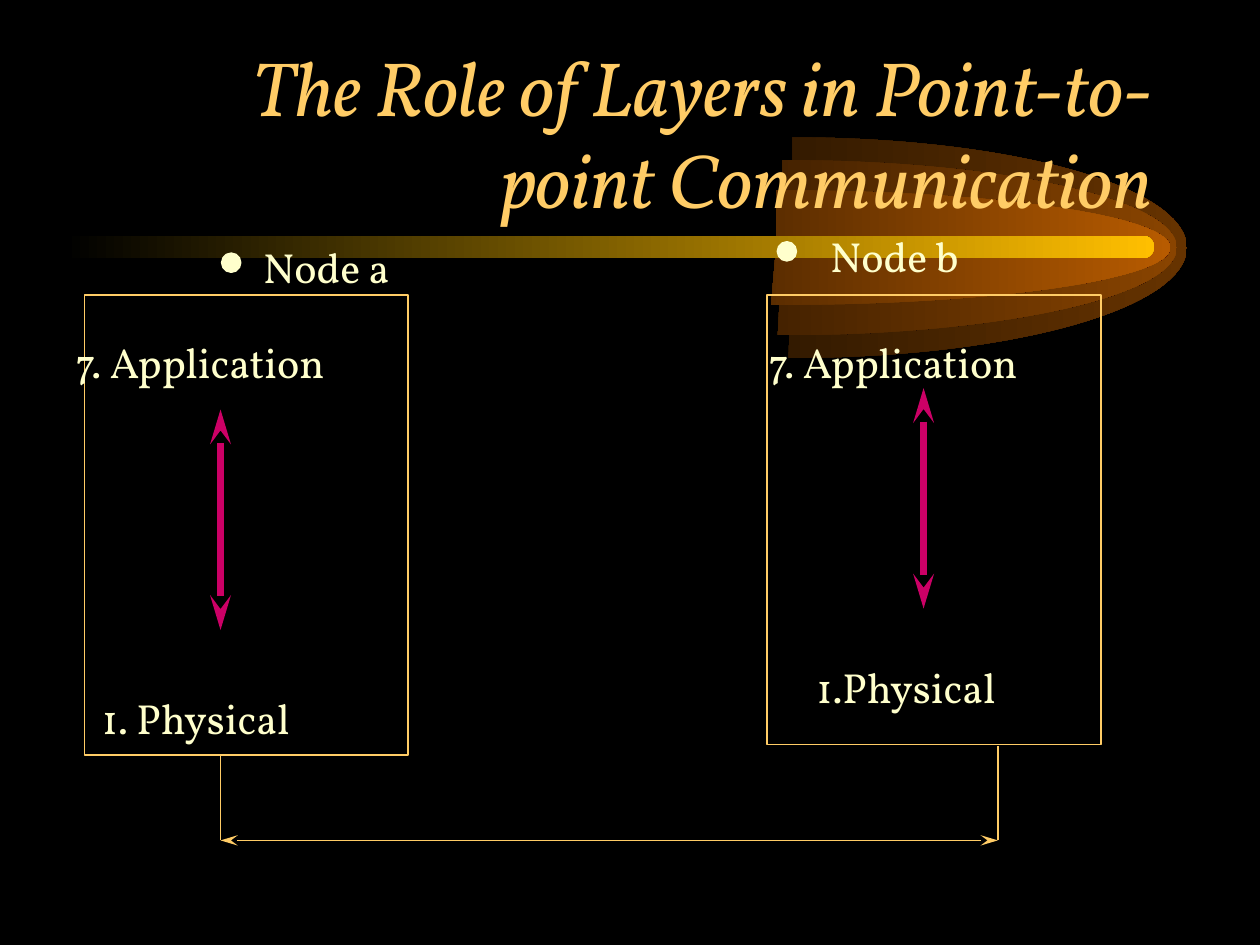
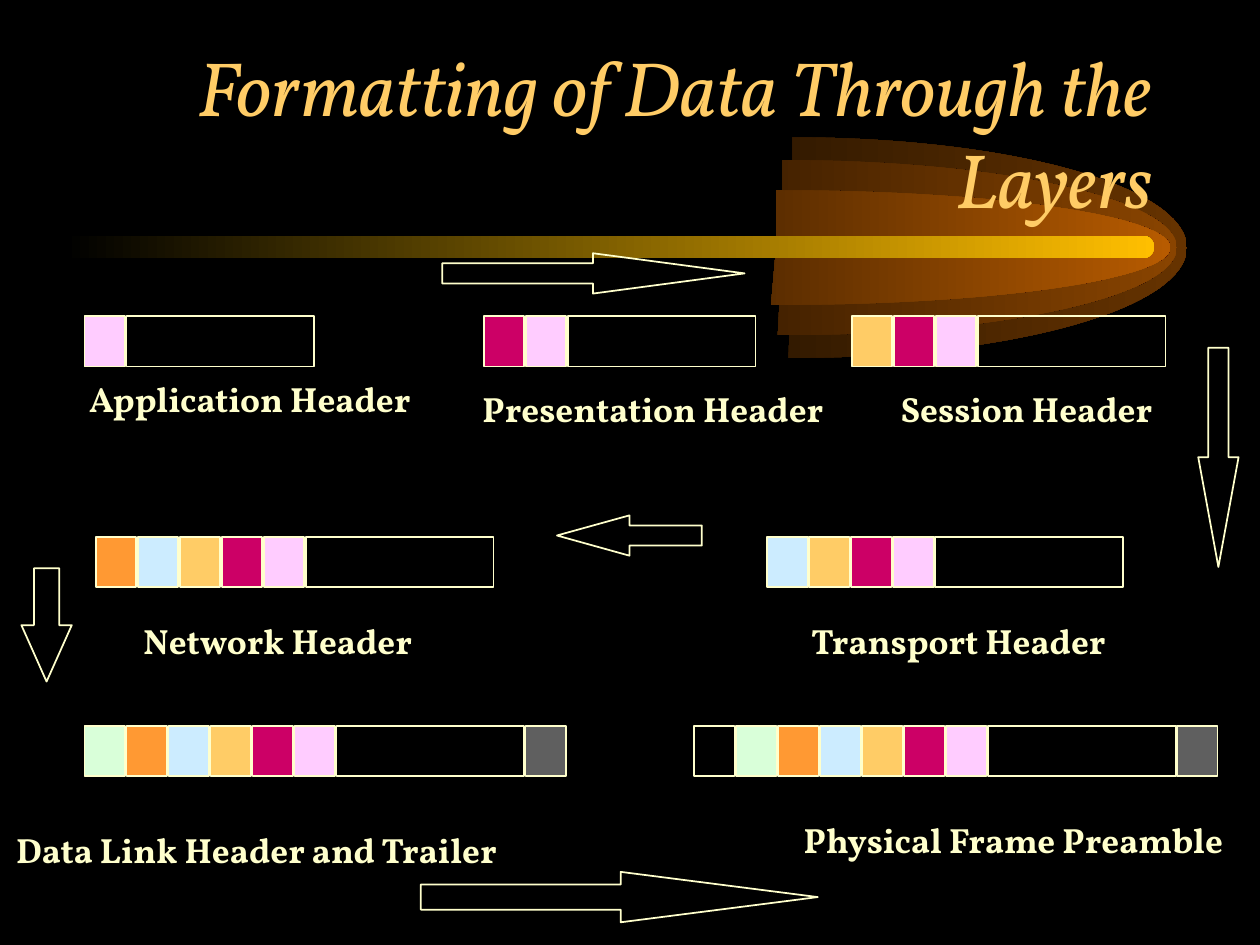
"""Build two slides on network layers."""
from dataclasses import dataclass

from pptx import Presentation
from pptx.dml.color import RGBColor
from pptx.enum.shapes import MSO_CONNECTOR, MSO_SHAPE
from pptx.enum.text import MSO_ANCHOR, MSO_AUTO_SIZE, PP_ALIGN
from pptx.oxml.ns import qn
from pptx.oxml.xmlchemy import OxmlElement
from pptx.util import Inches, Pt

ARC = MSO_SHAPE.ARC
RECTANGLE = MSO_SHAPE.RECTANGLE
ROUNDED = MSO_SHAPE.ROUNDED_RECTANGLE
OVAL = MSO_SHAPE.OVAL
RIGHT_ARROW = MSO_SHAPE.RIGHT_ARROW
LEFT_ARROW = MSO_SHAPE.LEFT_ARROW
DOWN_ARROW = MSO_SHAPE.DOWN_ARROW
STRAIGHT = MSO_CONNECTOR.STRAIGHT
MIDDLE = MSO_ANCHOR.MIDDLE
NO_RESIZE = MSO_AUTO_SIZE.NONE
GROW = MSO_AUTO_SIZE.SHAPE_TO_FIT_TEXT
RIGHT = PP_ALIGN.RIGHT


@dataclass(frozen=True)
class Theme:
    """Colours, typeface and type sizes of both slides."""

    font: str = "Vollkorn"
    title_size: int = 44
    node_size: int = 24
    header_size: int = 20
    background: str = "000000"
    gold: str = "FFCC66"
    cream: str = "FFFFCC"
    magenta: str = "CC0066"
    pink: str = "FFCCFF"
    sky: str = "CCECFF"
    orange: str = "FF9933"
    mint: str = "D9FFD9"
    gray: str = "5F5F5F"
    band: str = "FFBF00"
    glow_outer: str = "663300"
    glow_middle: str = "894400"
    glow_inner: str = "B75B00"


THEME = Theme()
GLOWS = [
    ((3.16, 1.09, 6.26, 1.75), 92, THEME.glow_outer),
    ((3.08, 1.27, 6.26, 1.39), 93, THEME.glow_middle),
    ((3.03, 1.51, 6.26, 0.91), 95, THEME.glow_inner),
]
BAND = (0.5, 1.87, 8.66, 0.18)
ADJUSTMENT_PER_DEGREE = 0.6

HEADER_COLORS = [None, THEME.mint, THEME.orange, THEME.sky,
                 THEME.gold, THEME.magenta, THEME.pink]
CELL_PITCH, CELL_WIDTH, CELL_HEIGHT = 1 / 3, 0.32, 0.4
PAYLOAD_PITCH, PAYLOAD_WIDTH = 1.5, 1.49
HEADERS_WITH_TRAILER = 6

FRAMES = [
    (0.67, 2.51, 1), (3.84, 2.51, 2), (6.76, 2.51, 3),
    (6.09, 4.26, 4), (0.76, 4.26, 5),
    (0.67, 5.76, 6), (5.51, 5.76, 7),
]
HEADER_LABELS = [
    ("Application Header", 0.61, 2.95, 2.96),
    ("Presentation Header", 3.73, 3.03, 3.12),
    ("Session Header", 7.05, 3.03, 2.36),
    ("Transport Header", 6.34, 4.87, 2.74),
    ("Network Header", 1.04, 4.87, 2.54),
    ("Data Link Header and Trailer", 0.03, 6.53, 4.36),
    ("Physical Frame Preamble", 6.28, 6.45, 3.8),
]
FLOW_ARROWS = [
    (RIGHT_ARROW, (3.51, 2.01, 2.4, 0.32), 3.76),
    (DOWN_ARROW, (9.51, 2.76, 0.32, 1.74), 2.72),
    (LEFT_ARROW, (4.42, 4.09, 1.15, 0.32), 1.8),
    (DOWN_ARROW, (0.17, 4.51, 0.4, 0.9), 1.12),
    (RIGHT_ARROW, (3.34, 6.92, 3.15, 0.4), 3.91),
]
NODE_BOXES = [(0.67, 2.34, 2.57, 3.65), (6.09, 2.34, 2.65, 3.57)]
NODE_BULLETS = [(1.76, 2.01), (6.17, 1.92)]
NODE_LABELS = [
    ("7. Application", 0.5, 2.62, 2.4),
    ("1. Physical", 0.71, 5.45, 1.87),
    ("7. Application", 6, 2.62, 2.4),
    ("1.Physical", 6.38, 5.2, 1.79),
    ("Node a", 1.99, 1.87, 1.31),
    ("Node b", 6.49, 1.78, 1.32),
]
LINKS = [
    ((1.75, 6), (1.75, 6.67), THEME.gold, 1, False),
    ((1.75, 6.67), (7.92, 6.67), THEME.gold, 1, True),
    ((7.92, 5.92), (7.92, 6.67), THEME.gold, 1, False),
    ((1.75, 3.25), (1.75, 5), THEME.magenta, 4, True),
    ((7.33, 3.08), (7.33, 4.83), THEME.magenta, 4, True),
]
ARROWHEAD = {"type": "stealth", "w": "med", "len": "lg"}


def rgb(color):
    """Turn a hex string into a colour."""
    return RGBColor.from_string(color)


def format_font(font, color, **values):
    """Apply the typeface, a colour and further font values."""
    for name, value in {"name": THEME.font, **values}.items():
        setattr(font, name, value)
    font.color.rgb = rgb(color)


def add_gradient_shape(slide, kind, box, color):
    """Add an unlined shape that fades in from the background colour."""
    shape = slide.shapes.add_shape(kind, *map(Inches, box))
    shape.shadow.inherit = False
    shape.line.fill.background()
    shape.fill.gradient()
    shape.fill.gradient_angle = 0
    for stop, stop_color in zip(shape.fill.gradient_stops,
                                (THEME.background, color)):
        stop.color.rgb = rgb(stop_color)
    return shape


def add_outline(slide, kind, box, line, fill=None):
    """Add a preset shape with a thin line and an optional fill."""
    shape = slide.shapes.add_shape(kind, *map(Inches, box))
    shape.shadow.inherit = False
    shape.line.color.rgb = rgb(line)
    shape.line.width = Pt(1)
    if fill:
        shape.fill.solid()
        shape.fill.fore_color.rgb = rgb(fill)
    else:
        shape.fill.background()
    return shape


def add_label(slide, text, left, top, width, size, bold=False):
    """Add a one-line text box."""
    height = 0.5 if size == THEME.node_size else 0.43
    shape = slide.shapes.add_textbox(*map(Inches, (left, top, width, height)))
    frame = shape.text_frame
    frame.word_wrap = False
    frame.auto_size = GROW
    paragraph = frame.paragraphs[0]
    paragraph.text = text
    format_font(paragraph.font, THEME.cream, size=Pt(size), bold=bold)


def add_link(slide, start, end, color, width, arrows):
    """Add a straight line, with arrowheads at both ends if wanted."""
    connector = slide.shapes.add_connector(STRAIGHT, *map(Inches, start + end))
    connector.line.color.rgb = rgb(color)
    connector.line.width = Pt(width)
    properties = connector.element.spPr
    if arrows:
        for tag in ("a:headEnd", "a:tailEnd"):
            arrowhead = OxmlElement(tag)
            for name, value in ARROWHEAD.items():
                arrowhead.set(name, value)
            properties.find(qn("a:ln")).append(arrowhead)
    properties.append(OxmlElement("a:effectLst"))


def add_glow(slide, box, end_degrees, color):
    """Add the right half of an ellipse, from the top down to an angle."""
    glow = add_gradient_shape(slide, ARC, box, color)
    glow.adjustments[1] = end_degrees * ADJUSTMENT_PER_DEGREE
    return glow


def add_band(slide):
    """Add the rounded gradient band below the title."""
    band = add_gradient_shape(slide, ROUNDED, BAND, THEME.band)
    band.adjustments[0] = 0.5
    return band


def decorate_layout(layout, slide):
    """Give the layout its background, glow and band."""
    layout.background.fill.solid()
    layout.background.fill.fore_color.rgb = rgb(THEME.background)
    for placeholder in list(layout.placeholders):
        if placeholder.placeholder_format.idx:
            layout.shapes.element.remove(placeholder.element)
    decorations = [add_glow(slide, *glow) for glow in GLOWS] + [add_band(slide)]
    for shape in decorations:
        layout.shapes.element.append(shape.element)


def add_title(slide, text):
    """Place and format the slide title."""
    title = slide.shapes.title
    box = {"left": 0.75, "top": 0.42, "width": 8.5, "height": 1.25}
    for name, value in box.items():
        setattr(title, name, Inches(value))
    frame = title.text_frame
    frame.text = text
    frame_format = {"word_wrap": True, "auto_size": NO_RESIZE,
                    "vertical_anchor": MIDDLE}
    for name, value in frame_format.items():
        setattr(frame, name, value)
    paragraph = frame.paragraphs[0]
    paragraph.alignment = RIGHT
    format_font(paragraph.font, THEME.gold, size=Pt(THEME.title_size), italic=True)


def add_frame(slide, left, top, header_count):
    """Add a data frame: headers, payload and, low in the stack, a trailer."""
    cells = [(CELL_PITCH, CELL_WIDTH, color)
             for color in HEADER_COLORS[-header_count:]]
    cells.append((PAYLOAD_PITCH, PAYLOAD_WIDTH, None))
    if header_count >= HEADERS_WITH_TRAILER:
        cells.append((CELL_PITCH, CELL_WIDTH, THEME.gray))
    for pitch, width, color in cells:
        add_outline(slide, RECTANGLE, (left, top, width, CELL_HEIGHT),
                    THEME.cream, color)
        left += pitch


def build_nodes(slide):
    """Draw two nodes and the link between them."""
    add_title(slide, "The Role of Layers in Point-to-point Communication")
    for box in NODE_BOXES:
        add_outline(slide, RECTANGLE, box, THEME.gold)
    for link in LINKS:
        add_link(slide, *link)
    for label in NODE_LABELS:
        add_label(slide, *label, THEME.node_size)
    for left, top in NODE_BULLETS:
        add_outline(slide, OVAL, (left, top, 0.15, 0.15), THEME.cream, THEME.cream)


def build_formatting(slide):
    """Draw the data frame as it grows from layer to layer."""
    add_title(slide, "Formatting of Data Through the Layers")
    for frame in FRAMES:
        add_frame(slide, *frame)
    for label in HEADER_LABELS:
        add_label(slide, *label, THEME.header_size, bold=True)
    for kind, box, head_length in FLOW_ARROWS:
        arrow = add_outline(slide, kind, box, THEME.cream)
        arrow.adjustments[0] = 0.5
        arrow.adjustments[1] = head_length


def main():
    """Build and save the presentation."""
    presentation = Presentation()
    presentation.slide_width = Inches(10)
    presentation.slide_height = Inches(7.5)
    layout = presentation.slide_layouts[5]
    nodes, formatting = [presentation.slides.add_slide(layout) for _ in range(2)]
    decorate_layout(layout, nodes)
    build_nodes(nodes)
    build_formatting(formatting)
    presentation.save("out.pptx")


if __name__ == "__main__":
    main()
